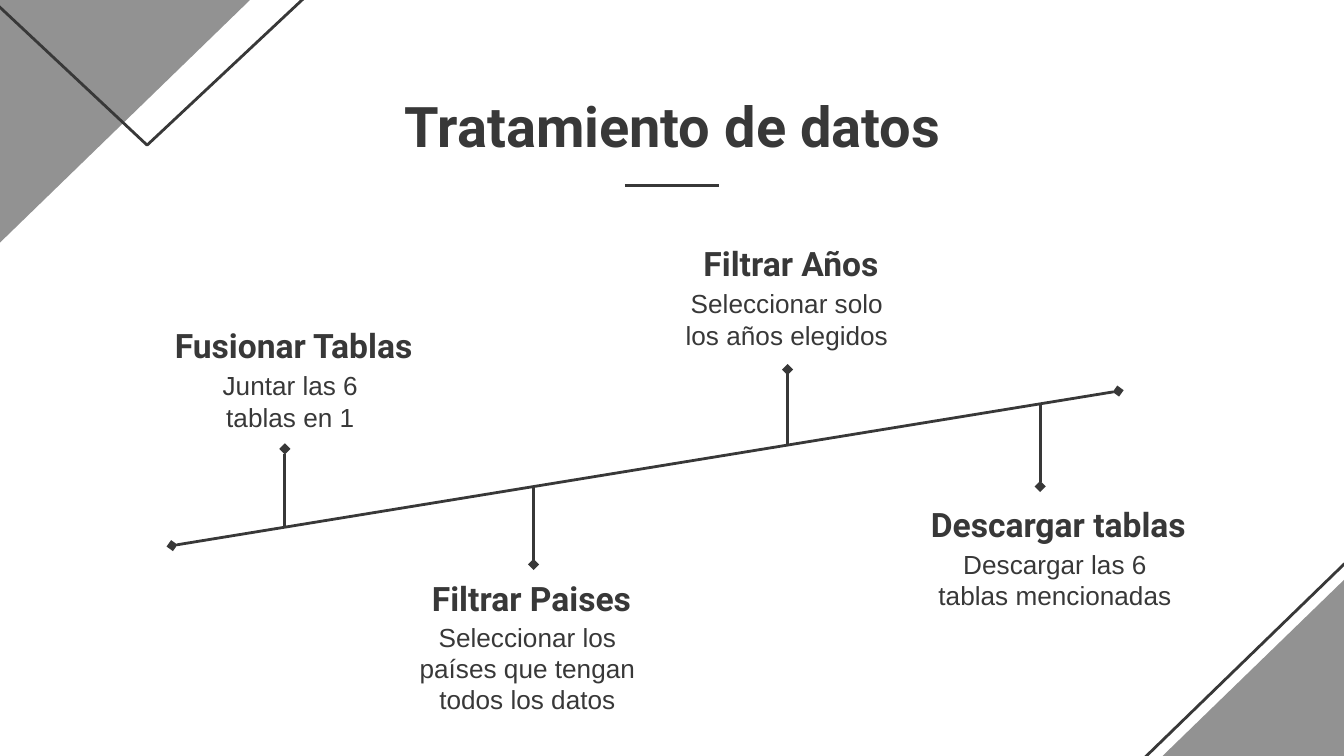
from typing import NamedTuple

from lxml.etree import SubElement
from pptx import Presentation
from pptx.dml.color import RGBColor
from pptx.enum.shapes import MSO_CONNECTOR, MSO_SHAPE
from pptx.enum.text import MSO_ANCHOR, PP_ALIGN
from pptx.oxml.ns import qn
from pptx.util import Inches, Pt

DARK = RGBColor(0x38, 0x38, 0x38)
GRAY = RGBColor(0x92, 0x92, 0x92)
HEADING_FONT = "Roboto"
BODY_FONT = "Arial"


class Area(NamedTuple):
    left: float
    top: float
    width: float
    height: float


class Corner(NamedTuple):
    kind: MSO_SHAPE
    area: Area
    rotation: int
    filled: bool


class Step(NamedTuple):
    heading: str
    heading_area: Area
    body: str
    body_area: Area
    stem_x: float
    stem_start: float
    stem_end: float


CORNERS = [
    Corner(MSO_SHAPE.RIGHT_TRIANGLE, Area(7.68, 2.84, 3.72, 3.61), 0, False),
    Corner(MSO_SHAPE.RIGHT_TRIANGLE, Area(7.8, 2.84, 3.72, 3.61), 0, True),
    Corner(MSO_SHAPE.RIGHT_TRIANGLE, Area(-0.83, -1, 3.72, 3.61), 180, True),
    Corner(MSO_SHAPE.ISOSCELES_TRIANGLE, Area(-1.84, -1.67, 5.87, 2.75), 180, False),
]

STEPS = [
    Step("Fusionar Tablas", Area(0.98, 2.32, 2.41, 0.43),
         "Juntar las 6 tablas en 1", Area(1.45, 2.65, 1.42, 0.68), 2.12, 3.93, 3.34),
    Step("Filtrar Paises", Area(2.96, 4.2, 1.99, 0.43),
         "Seleccionar los países que tengan todos los datos",
         Area(2.96, 4.52, 1.93, 0.68), 3.97, 3.63, 4.2),
    Step("Filtrar Años", Area(4.89, 1.71, 1.99, 0.43),
         "Seleccionar solo los años elegidos", Area(4.94, 2.04, 1.83, 0.68),
         5.86, 3.31, 2.75),
    Step("Descargar tablas", Area(6.59, 3.65, 2.57, 0.43),
         "Descargar las 6 tablas mencionadas", Area(6.88, 3.98, 1.94, 0.68),
         7.74, 3.01, 3.62),
]


def add_corner(page, corner: Corner) -> None:
    shape = page.shapes.add_shape(corner.kind, *map(Inches, corner.area))
    shape.shadow.inherit = False
    shape.rotation = corner.rotation
    shape._element.spPr.find(qn("a:xfrm")).set("flipH", "1")
    if corner.filled:
        shape.fill.solid()
        shape.fill.fore_color.rgb = GRAY
        shape.line.fill.background()
    else:
        shape.fill.background()
        shape.line.color.rgb = DARK
        shape.line.width = Pt(1.5)


def add_text(page, text: str, area: Area, font: str, size: int,
             bold: bool = False) -> None:
    box = page.shapes.add_textbox(*map(Inches, area))
    frame = box.text_frame
    frame.word_wrap = True
    frame.vertical_anchor = MSO_ANCHOR.TOP
    frame.margin_left = frame.margin_right = Inches(0.1)
    frame.margin_top = frame.margin_bottom = Inches(0.1)
    frame.text = text
    para = frame.paragraphs[0]
    para.alignment = PP_ALIGN.CENTER
    span = para.runs[0]
    span.font.name = font
    span.font.size = Pt(size)
    span.font.bold = bold
    span.font.color.rgb = DARK


def add_line(page, start: tuple[float, float], end: tuple[float, float],
             diamonds: tuple[str, ...] = ()) -> None:
    """Draw a line; diamonds names the ends to mark: headEnd, tailEnd."""
    line = page.shapes.add_connector(
        MSO_CONNECTOR.STRAIGHT, *map(Inches, (*start, *end)))
    line.line.color.rgb = DARK
    line.line.width = Pt(1.5)
    properties = line._element.spPr
    for name in diamonds:
        SubElement(properties.find(qn("a:ln")), qn(f"a:{name}"), type="diamond")
    SubElement(properties, qn("a:effectLst"))


def main() -> None:
    # Widescreen deck, 16:9
    deck = Presentation()
    deck.slide_width = Inches(10)
    deck.slide_height = Inches(10 * 9 / 16)
    page = deck.slides.add_slide(deck.slide_layouts[6])

    # Corner decoration
    for corner in CORNERS:
        add_corner(page, corner)

    # Title and its underline
    add_text(page, "Tratamiento de datos", Area(0.98, 0.58, 8.05, 0.58),
             HEADING_FONT, 30, bold=True)
    add_line(page, (4.65, 1.38), (5.35, 1.38))

    # Timeline steps
    for step in STEPS:
        add_text(page, step.heading, step.heading_area, HEADING_FONT, 18, bold=True)
        add_text(page, step.body, step.body_area, BODY_FONT, 14)
        add_line(page, (step.stem_x, step.stem_start), (step.stem_x, step.stem_end),
                 ("tailEnd",))

    # Rising timeline
    add_line(page, (8.32, 2.91), (1.28, 4.06), ("headEnd", "tailEnd"))

    deck.save("out.pptx")


if __name__ == "__main__":
    main()
